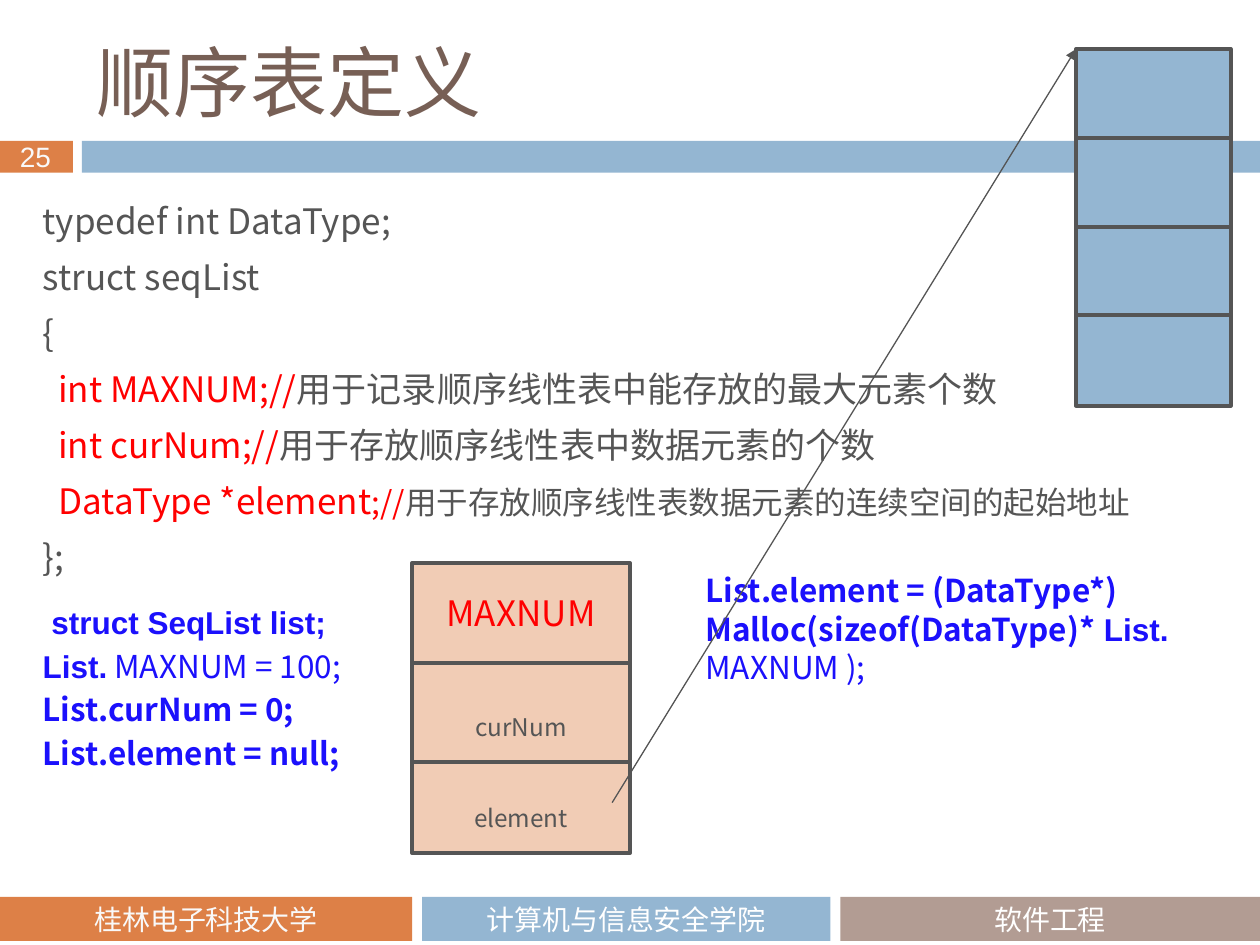
from lxml.etree import SubElement
from pptx import Presentation
from pptx.dml.color import RGBColor
from pptx.enum.shapes import MSO_CONNECTOR, MSO_SHAPE
from pptx.enum.text import MSO_ANCHOR as ANCHOR, PP_ALIGN as ALIGN
from pptx.oxml.ns import qn
from pptx.util import Cm, Pt

COLORS = {
    "orange": "DD8047", "blue": "94B6D2", "taupe": "B29C93", "peach": "F1CCB5",
    "brown": "775F55", "gray": "555555", "red": "FF0000", "code": "1B10FC",
    "white": "FFFFFF", "pale": "F9F9F9",
}
NOTO = "Noto Sans CJK SC"

DEFINITION = [
    [("typedef int DataType;", {})],
    [("struct seqList", {})],
    [("{", {})],
    [("  ", {}), ("int MAXNUM;//", {"color": "red"}),
     ("用于记录顺序线性表中能存放的最大元素个数", {})],
    [("  ", {}), ("int curNum;//", {"color": "red"}),
     ("用于存放顺序线性表中数据元素的个数", {})],
    [("  ", {}), ("DataType *element", {"color": "red"}),
     (";//", {"color": "red", "size": 18}),
     ("用于存放顺序线性表数据元素的连续空间的起始地址", {"size": 18})],
    [("};", {})],
]
INITIALIZATION = [
    [(" struct SeqList list;", {"font": "Arial"})],
    [("List.", {"font": "Arial"}), (" MAXNUM = 100;", {"bold": False})],
    [("List.curNum = 0;", {})],
    [("List.element = null;", {})],
]
ALLOCATION = [
    [("List.element = (DataType*)", {})],
    [("Malloc(sizeof(DataType)*", {}), (" List.", {"font": "Arial"}),
     (" MAXNUM );", {"bold": False})],
]


def rgb(name):
    return RGBColor.from_string(COLORS[name])


def format_run(run, size=20, color="gray", font=NOTO, bold=False, east_asian=NOTO):
    run.font.size = Pt(size)
    run.font.bold = bold
    run.font.color.rgb = rgb(color)
    run.font.name = font
    SubElement(run.font._element, qn("a:ea"), typeface=east_asian)


def add_text(slide, box, paragraphs, line_spacing=None, space_before=0, **style):
    """Add a text box; each paragraph is a list of (text, style changes)."""
    frame = slide.shapes.add_textbox(*map(Cm, box)).text_frame
    frame.word_wrap = True
    for index, runs in enumerate(paragraphs):
        paragraph = frame.add_paragraph() if index else frame.paragraphs[0]
        if line_spacing:
            paragraph.line_spacing = Pt(line_spacing)
        if index:
            paragraph.space_before = Pt(space_before)
        for text, changes in runs:
            run = paragraph.add_run()
            run.text = text
            format_run(run, **{**style, **changes})


def add_box(shapes, box, fill, text="", outlined=False, **style):
    shape = shapes.add_shape(MSO_SHAPE.RECTANGLE, *map(Cm, box))
    shape.shadow.inherit = False
    shape.fill.solid()
    shape.fill.fore_color.rgb = rgb(fill)
    if outlined:
        shape.line.color.rgb = rgb("gray")
        shape.line.width = Pt(2.25)
    else:
        shape.line.fill.background()
    if text:
        frame = shape.text_frame
        frame.text = text
        frame.vertical_anchor = ANCHOR.MIDDLE
        frame.paragraphs[0].alignment = ALIGN.CENTER
        format_run(frame.paragraphs[0].runs[0], **style)
    return shape


def add_title(slide, text):
    title = slide.shapes.title
    title.left, title.top, title.width, title.height = map(Cm, (1.7, 0.64, 22.66, 1.98))
    frame = title.text_frame
    frame.text = text
    frame.vertical_anchor = ANCHOR.MIDDLE
    frame.paragraphs[0].alignment = ALIGN.LEFT
    format_run(frame.paragraphs[0].runs[0], size=44, color="brown",
               font="Noto Sans CJK JP", east_asian="Noto Sans CJK JP")


def add_bands(slide):
    """Add the header band with the slide number, and the footer."""
    add_box(slide.shapes, (0, 2.84, 1.47, 0.64), "orange")
    add_box(slide.shapes, (1.65, 2.84, 23.75, 0.64), "blue")
    add_text(slide, (0.15, 2.69, 1.22, 0.94), [[("25", {})]],
             size=16, color="pale", font="Arial")
    footer = [
        (0, 8.31, "orange", "桂林电子科技大学", "pale"),
        (8.51, 8.23, "blue", "计算机与信息安全学院", "white"),
        (16.94, 8.46, "taupe", "软件工程", "white"),
    ]
    for left, width, fill, text, color in footer:
        add_box(slide.shapes, (left, 18.08, width, 0.89), fill, text,
                size=16, color=color, font="Cabin")


def add_record(slide):
    """Add the three fields of the list, the upper ones in front."""
    for top, text in ((15.19, "element"), (13.36, "curNum")):
        cell = add_box(slide.shapes, (8.31, top, 4.39, 2.01), "peach", text,
                       outlined=True, size=24)
        run = cell.text_frame.paragraphs[0].runs[0]
        run.font._element.set("baseline", "-25000")
    add_box(slide.shapes, (8.31, 11.35, 4.39, 2.01), "peach", "MAXNUM",
            outlined=True, color="red")


def add_memory(slide):
    group = slide.shapes.add_group_shape()
    for row in range(4):
        add_box(group.shapes, (21.69, 0.99 + 1.79 * row, 3.12, 1.82), "blue",
                outlined=True)


def add_arrow(slide, start, end):
    arrow = slide.shapes.add_connector(MSO_CONNECTOR.STRAIGHT, *map(Cm, start + end))
    arrow.line.color.rgb = rgb("gray")
    arrow.line.width = Pt(0.75)
    SubElement(arrow.line._get_or_add_ln(), qn("a:tailEnd"), type="triangle")
    SubElement(arrow._element.spPr, qn("a:effectLst"))


def main():
    presentation = Presentation()
    presentation.slide_width, presentation.slide_height = Cm(25.4), Cm(19.05)
    slide = presentation.slides.add_slide(presentation.slide_layouts[5])
    add_bands(slide)
    add_title(slide, "顺序表定义")
    add_text(slide, (0.61, 3.86, 24.61, 10.39), DEFINITION,
             line_spacing=25, space_before=7)
    add_text(slide, (0.61, 11.91, 7.26, 3.73), INITIALIZATION,
             line_spacing=25, size=18, color="code", bold=True)
    add_record(slide)
    add_memory(slide)
    add_text(slide, (13.97, 11.38, 11.25, 2.57), ALLOCATION,
             line_spacing=22, size=18, color="code", bold=True)
    add_arrow(slide, (12.34, 16.18), (21.69, 0.99))
    presentation.save("out.pptx")


if __name__ == "__main__":
    main()
